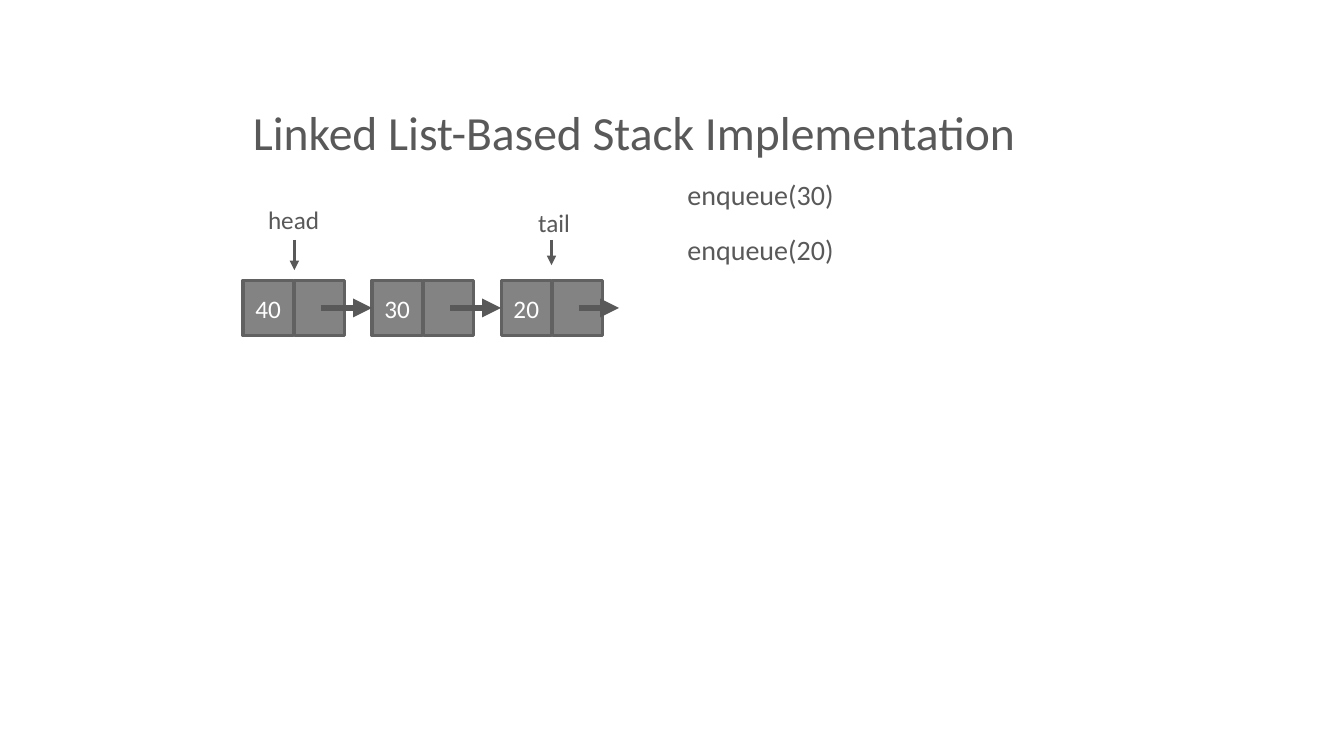
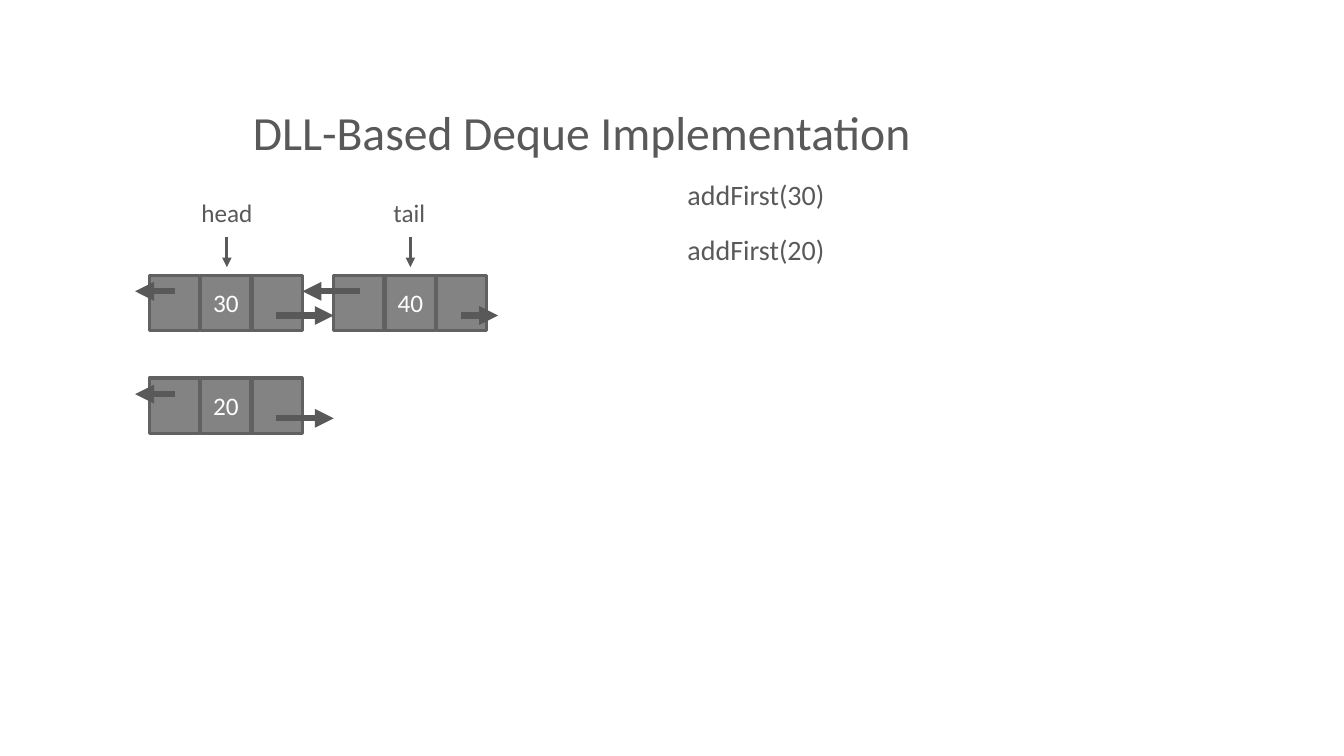
from lxml import etree
from pptx import Presentation
from pptx.dml.color import RGBColor
from pptx.enum.shapes import MSO_CONNECTOR, MSO_SHAPE
from pptx.enum.text import MSO_ANCHOR, MSO_AUTO_SIZE, PP_ALIGN
from pptx.oxml.ns import qn
from pptx.util import Inches, Pt

STRAIGHT, RECTANGLE = MSO_CONNECTOR.STRAIGHT, MSO_SHAPE.RECTANGLE
TOP, MIDDLE, BOTTOM = MSO_ANCHOR.TOP, MSO_ANCHOR.MIDDLE, MSO_ANCHOR.BOTTOM
LEFT, CENTER = PP_ALIGN.LEFT, PP_ALIGN.CENTER
FIT_TEXT = MSO_AUTO_SIZE.SHAPE_TO_FIT_TEXT
LEFT_SIDE = 1

FONT = "Calibri"
COLORS = {"text": "595959", "cell": "838383", "edge": "616161", "value": "FFFFFF"}

# Content: pointers are (name, label left, label top, label width, arrow x, top, bottom)
QUEUE = {
    "title": "Linked List-Based Stack Implementation",
    "calls": ["enqueue(30)", "enqueue(20)"],
    "values": ["40", "30", "20"],
    "pointers": [("head", 2.56, 1.98, 0.78, 2.92, 2.38, 2.68),
                 ("tail", 5.24, 2.01, 0.56, 5.47, 2.38, 2.63)],
    "label_align": LEFT,
}
DEQUE = {
    "title": "DLL-Based Deque Implementation",
    "calls": ["addFirst(30)", "addFirst(20)"],
    "rows": [["30", "40"], ["20"]],
    "pointers": [("head", 1.86, 1.91, 0.78, 2.25, 2.35, 2.65),
                 ("tail", 3.78, 1.91, 0.56, 4.07, 2.35, 2.65)],
    "label_align": CENTER,
}

# Node geometry, in inches
CELL_W, CELL_H, CELL_STEP = 0.5, 0.55, 0.51
QUEUE_LEFT, QUEUE_TOP, QUEUE_STEP = 2.41, 2.78, 1.28
DEQUE_LEFT, DEQUE_TOP, DEQUE_STEP, ROW_STEP = 1.48, 2.73, 1.83, 1.02
PREV_Y, NEXT_Y = 0.16, 0.4
LINK_START, OPEN_LINK = 0.26, 0.4


def color(name):
    return RGBColor.from_string(COLORS[name])


def add_run(paragraph, text, size, color_name="text"):
    run = paragraph.add_run()
    run.text = text
    run.font.name = FONT
    run.font.size = Pt(size)
    run.font.color.rgb = color(color_name)


def add_text(slide, box, lines, size, anchor=TOP, align=LEFT, spacing=None,
             before=0, indent=0, wrap=True):
    text_box = slide.shapes.add_textbox(*map(Inches, box))
    frame = text_box.text_frame
    frame.word_wrap = wrap
    frame.vertical_anchor = anchor
    if not wrap:
        frame.auto_size = FIT_TEXT
    for i, line in enumerate(lines):
        paragraph = frame.add_paragraph() if i else frame.paragraphs[0]
        paragraph.alignment = align
        if spacing:
            paragraph.line_spacing = spacing
        if before:
            paragraph.space_before = Pt(before)
        if indent:
            paragraph._p.get_or_add_pPr().set("marL", str(Inches(indent)))
        add_run(paragraph, line, size)


def add_arrow(slide, x1, y1, x2, y2, width, target=None):
    arrow = slide.shapes.add_connector(STRAIGHT, *map(Inches, (x1, y1, x2, y2)))
    if target is not None:
        arrow.end_connect(target, LEFT_SIDE)
    arrow.line.color.rgb = color("text")
    arrow.line.width = Pt(width)
    etree.SubElement(arrow.line._get_or_add_ln(), qn("a:tailEnd"), type="triangle")
    etree.SubElement(arrow._element.spPr, qn("a:effectLst"))


def add_node(slide, left, top, cell_texts):
    cells = []
    for i, text in enumerate(cell_texts):
        cell = slide.shapes.add_shape(RECTANGLE, Inches(left + i * CELL_STEP),
                                      Inches(top), Inches(CELL_W), Inches(CELL_H))
        cell.shadow.inherit = False
        cell.fill.solid()
        cell.fill.fore_color.rgb = color("cell")
        cell.line.color.rgb = color("edge")
        cell.line.width = Pt(2.25)
        if text:
            cell.text_frame.vertical_anchor = MIDDLE
            paragraph = cell.text_frame.paragraphs[0]
            paragraph.alignment = CENTER
            add_run(paragraph, text, 18, "value")
        cells.append(cell)
    return cells


def add_base_slide(deck, content):
    """Title, method calls and labelled pointers, common to both slides."""
    slide = deck.slides.add_slide(deck.slide_layouts[6])
    add_text(slide, (2.41, 0.33, 10.25, 1.31), [content["title"]], 34,
             anchor=BOTTOM, spacing=0.9)
    add_text(slide, (6.67, 1.75, 6, 4.5), content["calls"], 20,
             spacing=0.9, before=18, indent=0.05)
    for name, left, top, width, x, start, end in content["pointers"]:
        add_text(slide, (left, top, width, 0.4), [name], 18,
                 align=content["label_align"], wrap=False)
        add_arrow(slide, x, start, x, end, 2.25)
    return slide


def add_queue_slide(deck):
    slide = add_base_slide(deck, QUEUE)
    lefts = [QUEUE_LEFT + i * QUEUE_STEP for i in range(len(QUEUE["values"]))]
    nodes = [add_node(slide, left, QUEUE_TOP, [value, ""])
             for left, value in zip(lefts, QUEUE["values"])]
    # Each link ends at the following node; the last one stays open
    y = QUEUE_TOP + CELL_H / 2
    for i, left in enumerate(lefts):
        start = left + CELL_STEP + LINK_START
        target = nodes[i + 1][0] if i + 1 < len(nodes) else None
        end = lefts[i + 1] if target is not None else start + OPEN_LINK
        add_arrow(slide, start, y, end, y, 4.5, target)


def add_deque_slide(deck):
    slide = add_base_slide(deck, DEQUE)
    for row, values in enumerate(DEQUE["rows"]):
        top = DEQUE_TOP + row * ROW_STEP
        lefts = [DEQUE_LEFT + i * DEQUE_STEP for i in range(len(values))]
        for left, value in zip(lefts, values):
            add_node(slide, left, top, ["", value, ""])
        for i, left in enumerate(lefts):
            # Previous link: back to the node before, or a short open link
            start = left + LINK_START
            end = left - 0.31 if i else start - OPEN_LINK
            add_arrow(slide, start, top + PREV_Y, end, top + PREV_Y, 4.5)
            # Next link: only a second node is the tail
            start = left + 2 * CELL_STEP + 0.24
            end = start + 0.37 if i else left + DEQUE_STEP
            add_arrow(slide, start, top + NEXT_Y, end, top + NEXT_Y, 4.5)


def main():
    deck = Presentation()
    deck.slide_width, deck.slide_height = Inches(13.33), Inches(7.5)
    add_queue_slide(deck)
    add_deque_slide(deck)
    deck.save("out.pptx")


if __name__ == "__main__":
    main()
